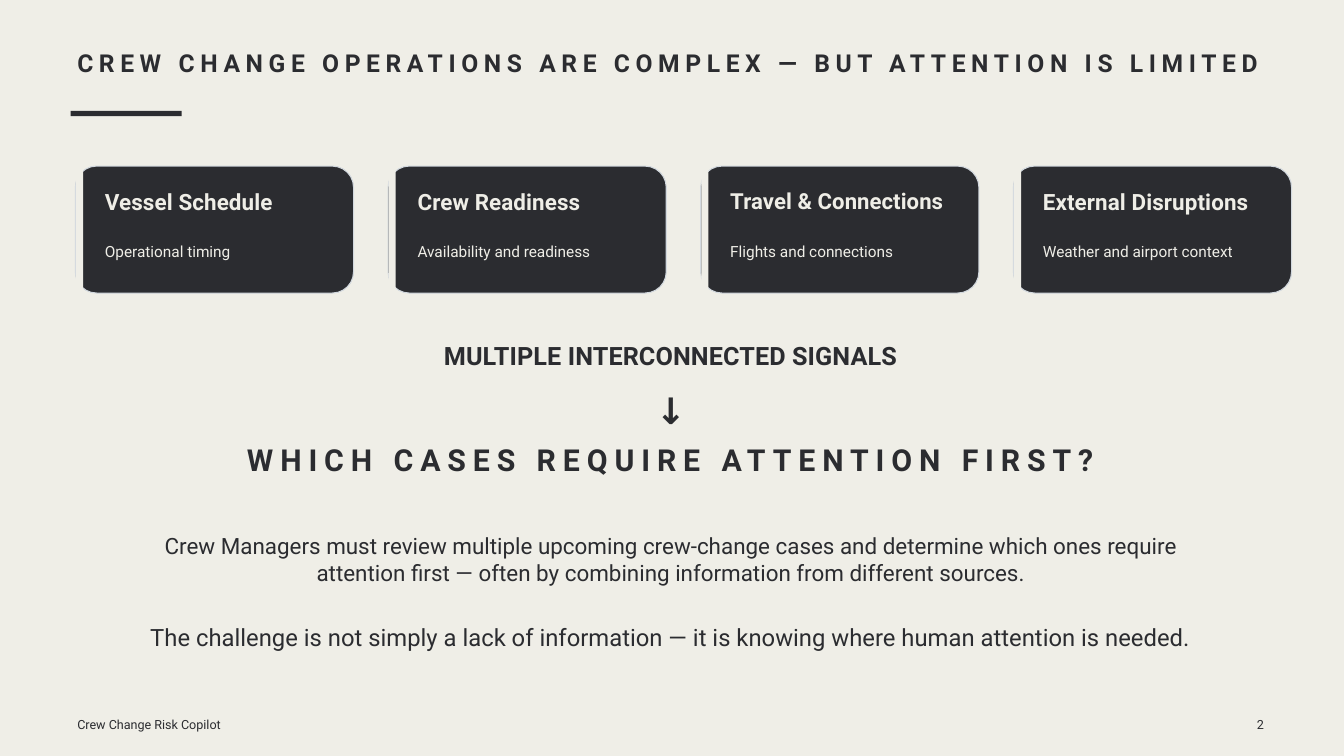
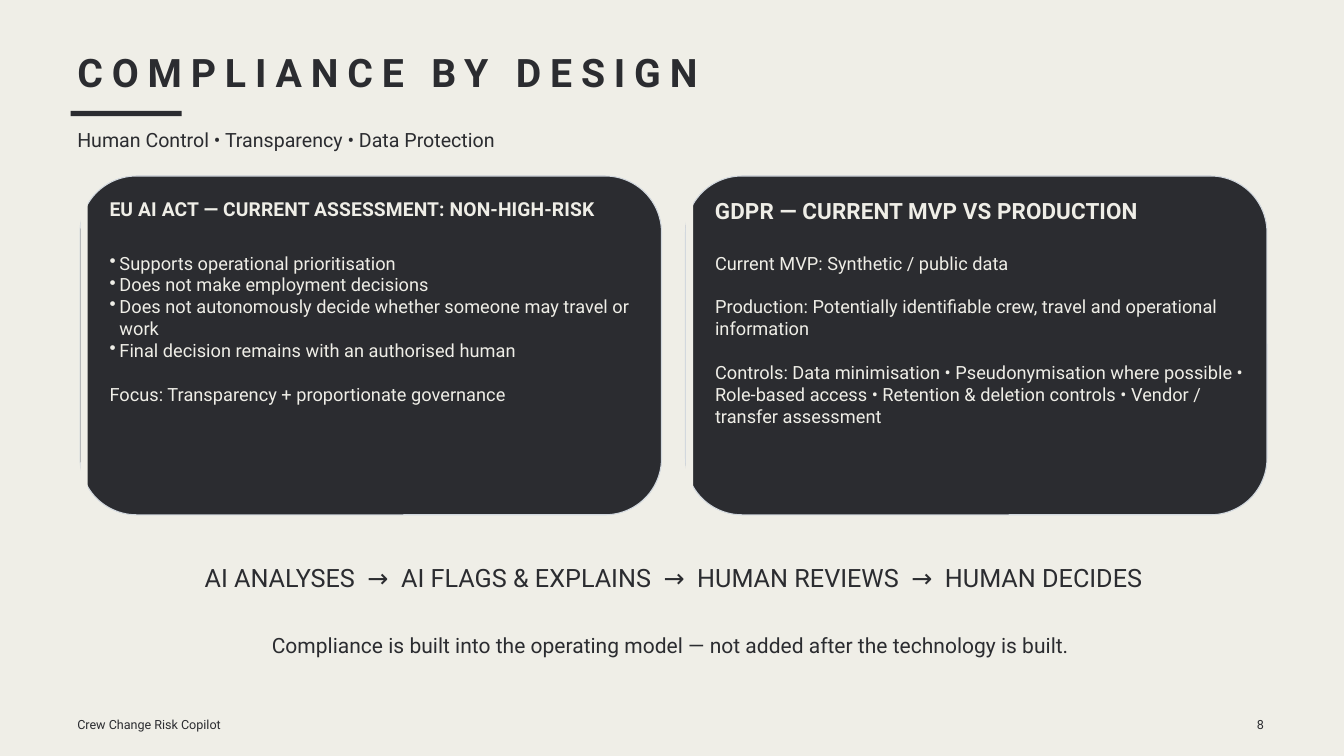
"""Builds two slides on crew change operations and compliance by design."""
import pptx
import pptx.util
import pptx.dml.color
import pptx.enum.shapes
import pptx.enum.text
import lxml.etree
import pptx.oxml.ns

Pt = pptx.util.Pt
KIND = pptx.enum.shapes.MSO_SHAPE
ALIGN = pptx.enum.text.PP_ALIGN
HEX = {"ink": "2B2C30", "paper": "EFEEE7", "edge": "D2D8DE"}
RGB = {name: pptx.dml.color.RGBColor.from_string(code) for name, code in HEX.items()}
FRAME = {"margin_left": 0, "margin_top": 0, "margin_right": 0, "margin_bottom": 0,
         "word_wrap": True, "auto_size": pptx.enum.text.MSO_AUTO_SIZE.NONE,
         "vertical_anchor": pptx.enum.text.MSO_ANCHOR.TOP}


def write(shape, groups, size, ink="ink", bold=False, track=0, align=ALIGN.LEFT):
    """Fill a shape with groups of lines, one blank line's height between groups."""
    frame = shape.text_frame
    for key, value in FRAME.items():
        setattr(frame, key, value)
    para = None
    for group in groups:
        for row, line in enumerate(group):
            first = para is None
            para = frame.paragraphs[0] if first else frame.add_paragraph()
            look = {"alignment": align, "line_spacing": Pt(1.2 * size), "space_after": Pt(0),
                    "space_before": Pt(0 if first or row else 1.2 * size)}
            for key, value in look.items():
                setattr(para, key, value)
            if line.startswith("• "):
                line = line[2:]
                props = para._p.get_or_add_pPr()
                props.set("marL", str(Pt(10.6)))
                props.set("indent", str(-Pt(10.6)))
                mark = lxml.etree.SubElement(props, pptx.oxml.ns.qn("a:buChar"))
                mark.set("char", "•")
            for bit in line.split("|"):
                run = para.add_run()
                run.text = bit
                font = {"name": "Roboto", "size": Pt(size), "bold": bold}
                for key, value in font.items():
                    setattr(run.font, key, value)
                run.font.color.rgb = RGB[ink]
                space = 6.7 if bit == " " else track
                run._r.get_or_add_rPr().set("spc", str(round(space * 100)))


def block(page, kind, box, fill, edge=None):
    """Draw a filled shape with an optional thin edge."""
    shape = page.shapes.add_shape(kind, *map(Pt, box))
    shape.shadow.inherit = False
    shape.fill.solid()
    shape.fill.fore_color.rgb = RGB[fill]
    if edge:
        shape.line.color.rgb = RGB[edge]
        shape.line.width = Pt(1.13)
    else:
        shape.line.fill.background()


mid = {"align": ALIGN.CENTER}
flow = ["AI ANALYSES", "AI FLAGS & EXPLAINS", "HUMAN REVIEWS", "HUMAN DECIDES"]
pages = [
    {"title": "CREW CHANGE OPERATIONS ARE COMPLEX — BUT ATTENTION IS LIMITED",
     "head": (82.8, 51.8, 1345, 32.4), "size": 26.4, "track": 6, "num": "2",
     "grid": (80.8, 178, 298, 136), "step": 335, "body": 16.5,
     "cards": [("Vessel Schedule", 24, [["Operational timing"]]),
               ("Crew Readiness", 24, [["Availability and readiness"]]),
               ("Travel & Connections", 23.7, [["Flights and connections"]]),
               ("External Disruptions", 24, [["Weather and airport context"]])],
     "texts": [
         ((234, 365, 969, 33), "MULTIPLE INTERCONNECTED SIGNALS", 27,
          {**mid, "bold": True, "track": 0.1}),
         ((694.8, 415.4, 48.2, 47.5), "↓", 39, {**mid, "bold": True, "track": 8.8}),
         ((234, 473, 969, 39), "WHICH CASES REQUIRE ATTENTION FIRST?", 32.4,
          {**mid, "bold": True, "track": 7.4}),
         ((136.8, 570.2, 1163.5, 57.6),
          "Crew Managers must review multiple upcoming crew-change cases and determine "
          "which ones require attention first — often by combining information from "
          "different sources.", 24, mid),
         ((126, 667.4, 1185, 31),
          "The challenge is not simply a lack of information — it is knowing where "
          "human attention is needed.", 25.5, mid)]},
    {"title": "COMPLIANCE BY DESIGN",
     "head": (82.8, 51.8, 712, 51), "size": 42, "track": 9.5, "num": "8",
     "grid": (85.8, 188.6, 623, 363), "step": 648.7, "body": 19.5,
     "cards": [("EU AI ACT — CURRENT ASSESSMENT: NON-HIGH-RISK", 20.6,
                [["• Supports operational prioritisation",
                  "• Does not make employment decisions",
                  "• Does not autonomously decide whether someone may travel or work",
                  "• Final decision remains with an authorised human"],
                 ["Focus: Transparency + proportionate governance"]]),
               ("GDPR — CURRENT MVP VS PRODUCTION", 24,
                [["Current MVP: Synthetic / public data"],
                 ["Production: Potentially identifiable crew, travel and operational "
                  "information"],
                 ["Controls: Data minimisation • Pseudonymisation where possible • "
                  "Role-based access • Retention & deletion controls • Vendor / "
                  "transfer assessment"]])],
     "texts": [
         ((82.8, 137.5, 1260, 26), "Human Control • Transparency • Data Protection", 21, {}),
         ((93.6, 602.6, 1255.7, 33), "| |→| |".join(flow), 27, mid),
         ((115.2, 678.2, 1206.7, 28),
          "Compliance is built into the operating model — not added after the "
          "technology is built.", 22.5, mid)]},
]
foot = [((82.8, 768.2, 162, 16.6), "Crew Change Risk Copilot", 13.5, {})]

deck = pptx.Presentation()
deck.slide_width, deck.slide_height = Pt(1440), Pt(810)
for info in pages:
    page = deck.slides.add_slide(deck.slide_layouts[5])
    page.background.fill.solid()
    page.background.fill.fore_color.rgb = RGB["paper"]
    title = page.shapes.title
    for key, value in zip(("left", "top", "width", "height"), info["head"]):
        setattr(title, key, Pt(value))
    write(title, [[info["title"]]], info["size"], bold=True, track=info["track"])
    block(page, KIND.RECTANGLE, (75.6, 118.8, 119, 5.6), "ink")

    left, top, wide, high = info["grid"]
    for spot, (name, size, body) in enumerate(info["cards"]):
        x = left + spot * info["step"]
        block(page, KIND.ROUNDED_RECTANGLE, (x, top, wide, high), "ink", "edge")
        block(page, KIND.RECTANGLE, (x + 0.6, top + 0.6, 7.6, high - 1), "paper")
        label = page.shapes.add_textbox(Pt(x + 31.6), Pt(top + 23), Pt(wide - 53), Pt(29))
        write(label, [[name]], size, "paper", True, 0.1)
        note = page.shapes.add_textbox(Pt(x + 31.6), Pt(top + 81.3), Pt(wide - 56),
                                       Pt(high - 100))
        write(note, body, info["body"], "paper")

    tail = ((1314.3, 768.2, 40, 16.6), info["num"], 13.5, {"align": ALIGN.RIGHT})
    for box, words, size, look in info["texts"] + foot + [tail]:
        write(page.shapes.add_textbox(*map(Pt, box)), [[words]], size, **look)

deck.save("out.pptx")
